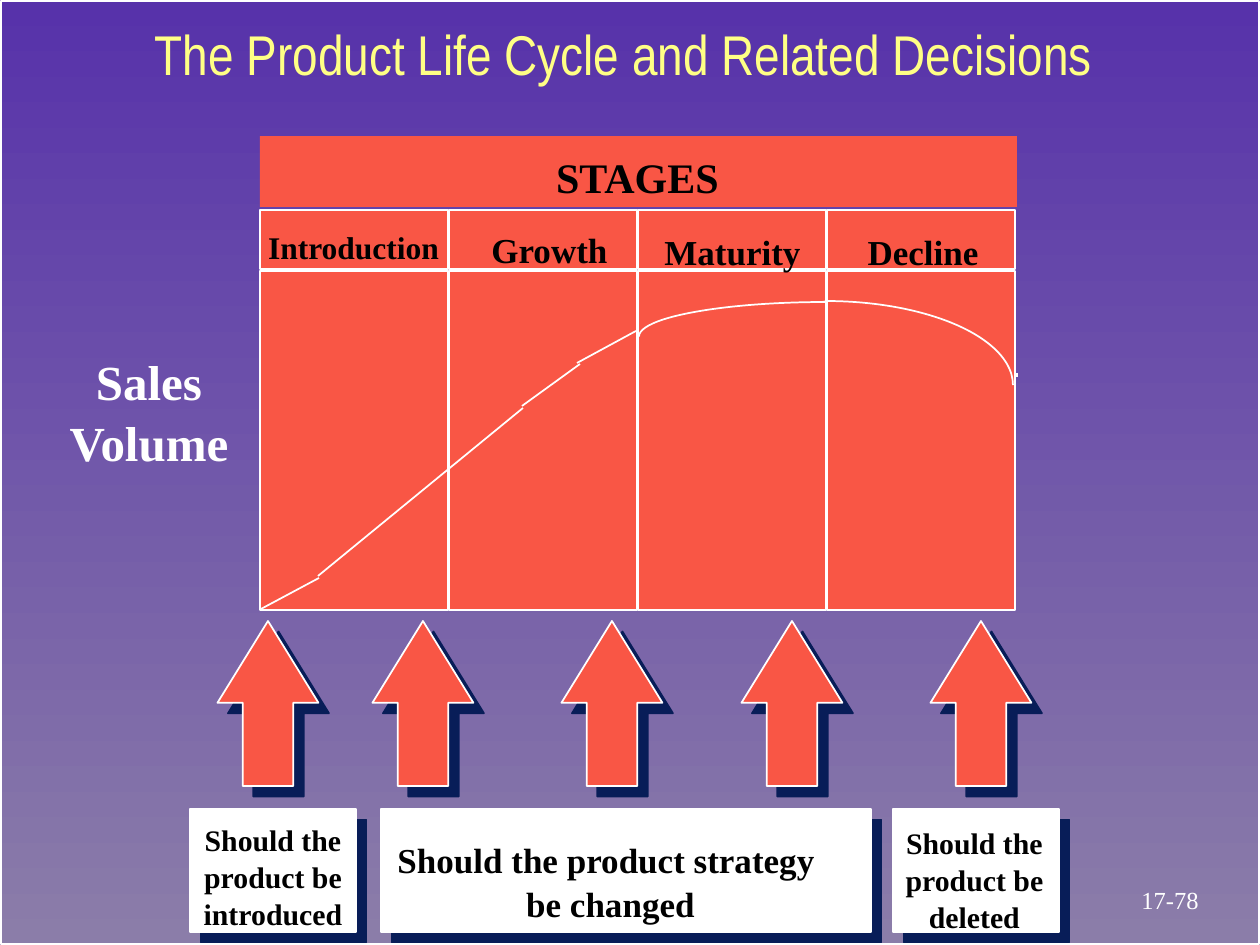
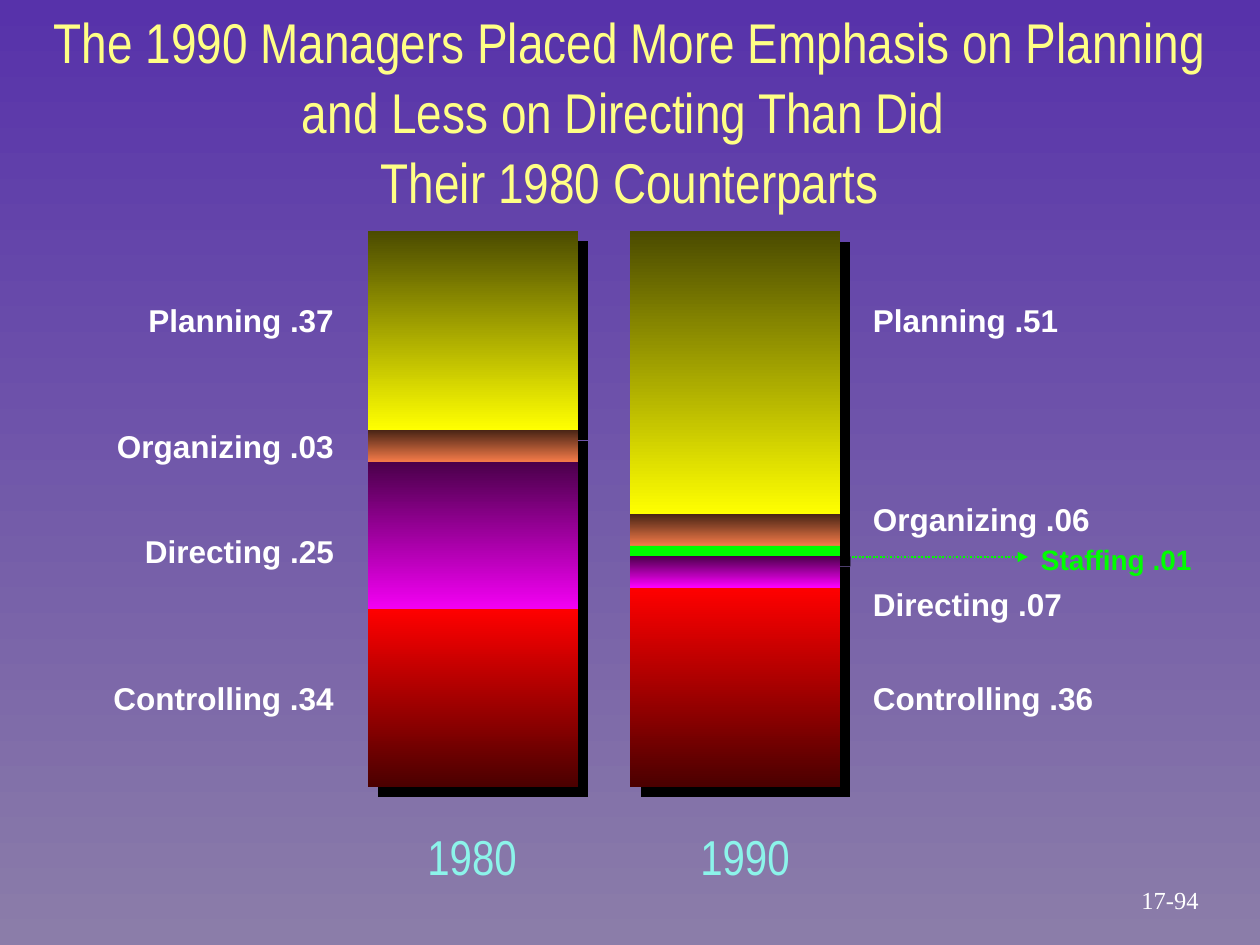
from lxml import etree
from pptx import Presentation
from pptx.dml.color import RGBColor
from pptx.enum.dml import MSO_LINE
from pptx.enum.shapes import MSO_CONNECTOR, MSO_SHAPE
from pptx.enum.text import MSO_ANCHOR, MSO_AUTO_SIZE, PP_ALIGN
from pptx.oxml.ns import qn
from pptx.util import Emu, Pt

RECTANGLE, UP_ARROW, ARC = MSO_SHAPE.RECTANGLE, MSO_SHAPE.UP_ARROW, MSO_SHAPE.ARC
STRAIGHT = MSO_CONNECTOR.STRAIGHT
DOTTED = MSO_LINE.ROUND_DOT
LEFT, CENTER, RIGHT = PP_ALIGN.LEFT, PP_ALIGN.CENTER, PP_ALIGN.RIGHT
TOP, MIDDLE = MSO_ANCHOR.TOP, MSO_ANCHOR.MIDDLE
GROW = MSO_AUTO_SIZE.SHAPE_TO_FIT_TEXT

# Colours
WHITE = RGBColor(0xFF, 0xFF, 0xFF)
BLACK = RGBColor(0x00, 0x00, 0x00)
CORAL = RGBColor(0xF9, 0x56, 0x45)
NAVY = RGBColor(0x08, 0x1D, 0x58)
PALE_YELLOW = RGBColor(0xFF, 0xFF, 0x85)
AQUA = RGBColor(0x8C, 0xF4, 0xEA)
GREEN = RGBColor(0x00, 0xFF, 0x00)
BACKDROP = (RGBColor(0x57, 0x32, 0xAA), RGBColor(0x8B, 0x7D, 0xA9))
SEGMENT_FILLS = {
    "Planning": (RGBColor(0x4B, 0x4B, 0x00), RGBColor(0xFF, 0xFF, 0x00)),
    "Organizing": (RGBColor(0x48, 0x24, 0x15), RGBColor(0xF5, 0x7B, 0x49)),
    "Staffing": GREEN,
    "Directing": (RGBColor(0x4B, 0x00, 0x4B), RGBColor(0xFF, 0x00, 0xFF)),
    "Controlling": (RGBColor(0xFF, 0x00, 0x00), RGBColor(0x4B, 0x00, 0x00)),
}

# Shared measures and text styles
PX = 914400 / 126
SLIDE_SIZE = (1260, 945)
WIDE_INSETS, TIGHT_INSETS = (13, 6), (10, 5)
LINE_SPACING = 1.04
SERIF = {"name": "Times New Roman", "bold": True}
TITLE = {"name": "Arial Narrow", "size": Pt(32), "bold": False}
YEAR = {"name": "Arial Narrow", "size": Pt(28)}
LABEL = {"name": "Arial", "size": Pt(18), "bold": True}
PAGE = {"name": "Times New Roman", "size": Pt(14)}


def emu(px):
    return Emu(round(px * PX))


def box(*lengths):
    return [emu(length) for length in lengths]


def set_attributes(target, values):
    for name, value in values.items():
        setattr(target, name, value)


def paint(fill, colour):
    """Fill with one colour, a pair running downwards, or nothing."""
    if colour is None:
        fill.background()
    elif isinstance(colour, RGBColor):
        fill.solid()
        fill.fore_color.rgb = colour
    else:
        fill.gradient()
        fill.gradient_angle = 270
        for stop, stop_colour in zip(fill.gradient_stops, colour):
            stop.color.rgb = stop_colour


def cast_shadow(shape, colour):
    effects = shape._element.spPr.find(qn("a:effectLst"))
    shadow = etree.SubElement(effects, qn("a:outerShdw"), blurRad="0",
                              dist=str(Pt(8.5)), dir="2700000", algn="tl",
                              rotWithShape="0")
    etree.SubElement(shadow, qn("a:srgbClr"), val=str(colour))


def write(shape, text, style, colour, align=CENTER, insets=WIDE_INSETS,
          wrap=True, anchor=TOP):
    frame = shape.text_frame
    side, end = box(*insets)
    frame.text = text
    set_attributes(frame, {
        "margin_left": side, "margin_right": side,
        "margin_top": end, "margin_bottom": end,
        "word_wrap": wrap, "auto_size": GROW, "vertical_anchor": anchor})
    for paragraph in frame.paragraphs:
        set_attributes(paragraph,
                       {"alignment": align, "line_spacing": LINE_SPACING})
        set_attributes(paragraph.font, style)
        paragraph.font.color.rgb = colour


def add_text(slide, place, text, style, colour, **options):
    write(slide.shapes.add_textbox(*box(*place)), text, style, colour, **options)


def add_serif(slide, place, text, size, colour=BLACK, wrap=False):
    add_text(slide, place, text, {**SERIF, "size": Pt(size)}, colour,
             insets=TIGHT_INSETS, wrap=wrap)


def add_block(slide, place, fill, line=None, shadow=None, kind=RECTANGLE):
    shape = slide.shapes.add_shape(kind, *box(*place))
    shape.shadow.inherit = False
    paint(shape.fill, fill)
    paint(shape.line.fill, line)
    if line is not None:
        shape.line.width = Pt(1)
    if shadow is not None:
        cast_shadow(shape, shadow)
    return shape


def add_line(slide, ends, colour, dash=None, arrow=False):
    connector = slide.shapes.add_connector(STRAIGHT, *box(*ends))
    line = connector.line
    paint(line.fill, colour)
    line.width = Pt(1)
    if dash is not None:
        line.dash_style = dash
    properties = connector._element.spPr
    if arrow:
        etree.SubElement(properties.find(qn("a:ln")), qn("a:tailEnd"),
                         type="triangle")
    etree.SubElement(properties, qn("a:effectLst"))


def start_slide(presentation, title, place, page):
    """Title-only slide with the shared backdrop and page number."""
    slide = presentation.slides.add_slide(presentation.slide_layouts[5])
    paint(slide.background.fill, BACKDROP)
    heading = slide.shapes.title
    set_attributes(heading, dict(zip(("left", "top", "width", "height"),
                                     box(*place))))
    write(heading, title, TITLE, PALE_YELLOW)
    add_text(slide, (1090, 878, 160, 43), page, PAGE, WHITE,
             wrap=False, anchor=MIDDLE)
    return slide


def build_life_cycle(presentation):
    slide = start_slide(presentation,
                        "The Product Life Cycle and Related Decisions",
                        (8, 11, 1232, 79), "17-78")
    add_block(slide, (1, 1, 1258, 943), None, WHITE)
    add_serif(slide, (57, 344, 184, 129), "Sales\nVolume", 28, WHITE)

    # Stage grid: a heading cell over a tall cell in each column
    grid_left, column_step, column_width = 260, 189, 188
    for column in range(4):
        left = grid_left + column * column_step
        for top, height in ((271, 339), (210, 59)):
            add_block(slide, (left, top, column_width, height), CORAL, WHITE)
    add_block(slide, (260, 136, 757, 71), CORAL)
    add_serif(slide, (544, 145, 187, 60), "STAGES", 24)
    for text, size, left, top, width, height in (
            ("Introduction", 18, 257, 222, 193, 48),
            ("Growth", 20, 480, 222, 139, 53),
            ("Maturity", 20, 654, 224, 157, 53),
            ("Decline", 20, 857, 224, 132, 53)):
        add_serif(slide, (left, top, width, height), text, size)

    # Sales curve: straight pieces, then two quarter ellipses
    for ends in ((261, 609, 319, 578), (318, 576, 523, 408),
                 (522, 406, 580, 364), (577, 363, 636, 331),
                 (829, 301, 822, 302), (1017, 373, 1017, 377)):
        add_line(slide, ends, WHITE)
    rise = add_block(slide, (639, 302, 374, 69), None, WHITE, kind=ARC)
    rise.adjustments[0], rise.adjustments[1] = 108, 162
    add_block(slide, (639, 301, 374, 168), None, WHITE, kind=ARC)

    # Decision arrows
    arrow_width = 101
    for center in (268, 423, 612, 792, 981):
        arrow = add_block(slide, (center - arrow_width / 2, 621, arrow_width, 165),
                          CORAL, WHITE, NAVY, UP_ARROW)
        arrow.adjustments[0], arrow.adjustments[1] = 0.5, 0.81

    # Decision questions
    for left, width in ((190, 166), (381, 490), (893, 166)):
        add_block(slide, (left, 809, width, 123), WHITE, WHITE, NAVY)
    add_serif(slide, (193, 815, 160, 117),
              "Should the\nproduct be\nintroduced", 17)
    add_serif(slide, (387, 832, 447, 94),
              "Should the product strategy \nbe changed", 20)
    add_serif(slide, (892, 818, 165, 117),
              "Should the\nproduct be\ndeleted", 17, wrap=True)


def build_emphasis(presentation):
    slide = start_slide(
        presentation,
        "The 1990 Managers Placed More Emphasis on Planning and Less on "
        "Directing Than Did \nTheir 1980 Counterparts",
        (10, -1, 1240, 214), "17-94")
    add_line(slide, (852, 557, 1028, 557), GREEN, DOTTED, arrow=True)

    # Stacked bars: segment, top, height
    bar_width = 210
    bars = (
        (368, (("Planning", 231, 199), ("Organizing", 430, 32),
               ("Directing", 462, 158), ("Controlling", 609, 178))),
        (630, (("Planning", 231, 284), ("Organizing", 514, 32),
               ("Staffing", 546, 10), ("Directing", 556, 32),
               ("Controlling", 588, 199))),
    )
    for left, segments in bars:
        for name, top, height in segments:
            add_block(slide, (left, top, bar_width, height),
                      SEGMENT_FILLS[name], shadow=BLACK)
    for year, left in (("1980", 377), ("1990", 650)):
        add_text(slide, (left, 818, 190, 71), year, YEAR, AQUA)

    # Shares beside the bars
    label_width, label_height = 275, 50
    sides = (
        (72, RIGHT, (("Planning .37", 294), ("Organizing .03", 420),
                     ("Directing .25", 525), ("Controlling .34", 672))),
        (860, LEFT, (("Planning .51", 294), ("Organizing .06", 493),
                     ("Directing .07", 578), ("Controlling .36", 672))),
    )
    for left, align, labels in sides:
        for text, top in labels:
            add_text(slide, (left, top, label_width, label_height), text,
                     LABEL, WHITE, align=align)
    add_text(slide, (1028, 535, 222, 45), "Staffing .01",
             {**LABEL, "size": Pt(16)}, GREEN, align=LEFT)


def main():
    presentation = Presentation()
    presentation.slide_width, presentation.slide_height = box(*SLIDE_SIZE)
    build_life_cycle(presentation)
    build_emphasis(presentation)
    presentation.save("out.pptx")


if __name__ == "__main__":
    main()
